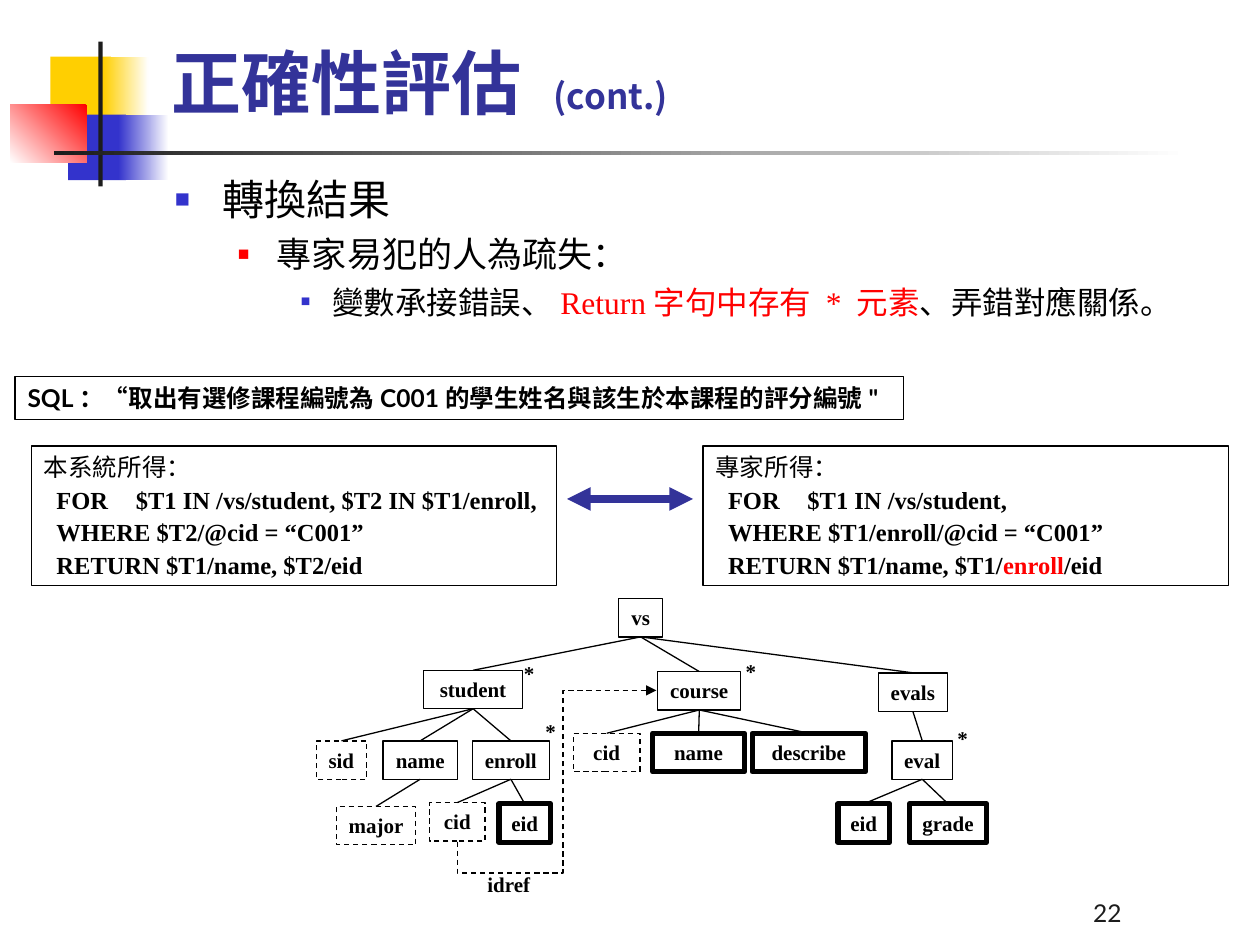
from dataclasses import dataclass
from typing import NamedTuple, Optional

import lxml.etree
import pptx
import pptx.dml.color
import pptx.enum.dml
import pptx.enum.shapes
import pptx.enum.text
import pptx.util
from pptx.oxml.ns import qn

# Grid: 100 columns by 75 rows on a 10 x 7.5 inch slide
CELL = pptx.util.Inches(0.1)
COLORS = {"ink": "000000", "dark": "1C1C1C", "title": "333399", "blue": "3333CC",
          "red": "FF0000", "yellow": "FFCF01", "white": "FFFFFF"}
SERIF, HAN, LATO = "Times New Roman", "Noto Sans CJK SC", "Lato"
DASH = pptx.enum.dml.MSO_LINE.DASH
ALIGN = pptx.enum.text.PP_ALIGN
ANCHOR = pptx.enum.text.MSO_ANCHOR
RECT = pptx.enum.shapes.MSO_SHAPE.RECTANGLE
CONNECTOR = pptx.enum.shapes.MSO_CONNECTOR


class Run(NamedTuple):
    text: str
    size: float
    bold: bool = False
    color: str = "ink"
    face: str = SERIF


@dataclass
class Para:
    runs: list
    before: float = 0
    align: ALIGN = ALIGN.LEFT
    tabs: tuple = ()
    bullet: Optional[tuple] = None  # level, margin, hanging, color, percent


class Block(NamedTuple):
    col: float
    row: float
    cols: float
    rows: float
    color: str
    fade: Optional[str] = None
    angle: float = 0


class Node(NamedTuple):
    text: str
    col: float
    row: float
    cols: float
    parent: Optional[str] = None
    border: str = "plain"


def rgb(name: str) -> pptx.dml.color.RGBColor:
    return pptx.dml.color.RGBColor.from_string(COLORS[name])


def grid(*cells: float) -> list:
    return [round(cell * CELL) for cell in cells]


def add_xml(parent, tag: str, **attributes):
    return lxml.etree.SubElement(parent, qn(tag), attributes)


def write(frame, paras: list, anchor=ANCHOR.TOP, wrap: bool = True) -> None:
    layout = {"word_wrap": wrap, "vertical_anchor": anchor,
              "auto_size": pptx.enum.text.MSO_AUTO_SIZE.NONE}
    for name, value in layout.items():
        setattr(frame, name, value)
    for index, para in enumerate(paras):
        paragraph = frame.add_paragraph() if index else frame.paragraphs[0]
        properties = paragraph._p.get_or_add_pPr()
        if para.bullet:
            level, margin, hanging, color, percent = para.bullet
            paragraph.level = level
            properties.set("marL", str(round(margin * CELL)))
            properties.set("indent", str(round(-hanging * CELL)))
            add_xml(add_xml(properties, "a:buClr"), "a:srgbClr", val=COLORS[color])
            add_xml(properties, "a:buSzPct", val=str(percent * 1000))
            add_xml(properties, "a:buFont", typeface=SERIF)
            add_xml(properties, "a:buChar", char="■")
        if para.tabs:
            stops = add_xml(properties, "a:tabLst")
            for stop in para.tabs:
                add_xml(stops, "a:tab", pos=str(round(stop * CELL)), algn="l")
        paragraph.alignment = para.align
        paragraph.space_before = pptx.util.Pt(para.before if index else 0)
        for piece in para.runs:
            run = paragraph.add_run()
            run.text = piece.text
            look = {"size": pptx.util.Pt(piece.size), "bold": piece.bold, "name": piece.face}
            for name, value in look.items():
                setattr(run.font, name, value)
            run.font.color.rgb = rgb(piece.color)
            add_xml(run.font._element, "a:ea", typeface=HAN)


def add_label(slide, place: tuple, paras: list, **layout) -> None:
    write(slide.shapes.add_textbox(*grid(*place)).text_frame, paras, **layout)


def style_line(line, color: str = "ink", width: float = 0.75, dash=None) -> None:
    line.color.rgb = rgb(color)
    for name, value in {"width": pptx.util.Pt(width), "dash_style": dash}.items():
        setattr(line, name, value)


def add_box(slide, place: tuple, paras: list, wrap: bool = True, **border) -> None:
    box = slide.shapes.add_shape(RECT, *grid(*place))
    box.shadow.inherit = False
    box.fill.background()
    style_line(box.line, **border)
    write(box.text_frame, paras, wrap=wrap)


def add_block(slide, block: Block) -> None:
    shape = slide.shapes.add_shape(RECT, *grid(*block[:4]))
    shape.shadow.inherit = False
    shape.line.fill.background()
    if block.fade is None:
        shape.fill.solid()
        shape.fill.fore_color.rgb = rgb(block.color)
        return
    shape.fill.gradient()
    shape.fill.gradient_angle = block.angle
    for stop, color in zip(shape.fill.gradient_stops, (block.color, block.fade)):
        stop.color.rgb = rgb(color)


def add_link(slide, ends: tuple, kind=CONNECTOR.STRAIGHT, arrows: tuple = (), **stroke):
    link = slide.shapes.add_connector(kind, *grid(*ends))
    style_line(link.line, **stroke)
    for arrow in arrows:
        add_xml(link.line._get_or_add_ln(), arrow, type="triangle")
    add_xml(link._element.spPr, "a:effectLst")
    return link


DECORATION = [
    Block(4, 4.5, 4.8, 5.2, "yellow"),
    Block(8.2, 4.5, 3.6, 5.2, "yellow", "white"),
    Block(5.4, 9.1, 4.6, 5.2, "blue"),
    Block(9.4, 9.1, 4, 5.2, "blue", "white"),
    Block(0.8, 8.3, 6.1, 4.6, "red", "white", 225),
    Block(7.8, 3.3, 0.35, 11.5, "dark"),
    Block(4.3, 12, 90, 0.3, "dark", "white"),
]
BORDERS = {"plain": {}, "dashed": {"dash": DASH}, "thick": {"width": 3}}
NODE_ROWS = 3.05
TREE = {
    "vs": Node("vs", 49.1, 47.5, 3.5),
    "student": Node("student", 33.6, 53.2, 7.9, "vs"),
    "course": Node("course", 52.2, 53.3, 6.6, "vs"),
    "evals": Node("evals", 69.7, 53.4, 5.5, "vs"),
    "sid": Node("sid", 25.1, 58.8, 4, "student", "dashed"),
    "student name": Node("name", 30.4, 58.8, 5.9, "student"),
    "enroll": Node("enroll", 37.5, 58.8, 6.1, "student"),
    "course cid": Node("cid", 45.5, 58.2, 5.3, "course", "dashed"),
    "course name": Node("name", 51.8, 58.2, 7.3, "course", "thick"),
    "describe": Node("describe", 59.7, 58.2, 9, "course", "thick"),
    "eval": Node("eval", 70.8, 58.8, 4.8, "evals"),
    "major": Node("major", 26.7, 64, 6.3, "student name", "dashed"),
    "enroll cid": Node("cid", 34.1, 63.7, 4.4, "enroll", "dashed"),
    "enroll eid": Node("eid", 39.6, 63.8, 4.1, "enroll", "thick"),
    "eval eid": Node("eid", 66.5, 63.8, 4.1, "eval", "thick"),
    "grade": Node("grade", 72.2, 63.8, 6.1, "eval", "thick"),
}
REPEAT_MARKS = [(40.6, 51.9), (42.3, 56.5), (58.2, 51.8), (75, 57.1)]
QUERIES = {
    2.5: ("本系統所得：", ["\tFOR \t$T1 IN /vs/student, $T2 IN $T1/enroll,"],
          ["\tWHERE $T2/@cid = “C001”"], ["\tRETURN $T1/name, $T2/eid"]),
    55.8: ("專家所得：", ["\tFOR \t$T1 IN /vs/student,"],
           ["\tWHERE $T1/enroll/@cid = “C001”"],
           ["\tRETURN $T1/name, $T1/", "enroll", "/eid"]),
}


def add_tree(slide) -> None:
    for node in TREE.values():
        add_box(slide, (node.col, node.row, node.cols, NODE_ROWS),
                [Para([Run(node.text, 12, True)], align=ALIGN.CENTER)],
                wrap=False, **BORDERS[node.border])
        if node.parent:
            parent = TREE[node.parent]
            add_link(slide, (parent.col + parent.cols / 2, parent.row + NODE_ROWS,
                             node.col + node.cols / 2, node.row))
    for col, row in REPEAT_MARKS:
        add_label(slide, (col, row, 4, 3), [Para([Run("*", 12, True)])])
    # Reference from the enrolled cid, down and around to the course
    reference = add_link(slide, (50.2, 68.7, 38.2, 52.9), CONNECTOR.ELBOW,
                         ("a:tailEnd",), dash=DASH)
    reference.rotation = 90
    geometry = reference._element.spPr.find(qn("a:prstGeom"))
    geometry.set("prst", "bentConnector4")
    adjustments = geometry.find(qn("a:avLst"))
    for name, share in {"adj1": -20800, "adj2": 53100}.items():
        add_xml(adjustments, "a:gd", name=name, fmla=f"val {share}")
    add_label(slide, (37.7, 68.7, 5.4, 3), [Para([Run("idref", 12, True)])], wrap=False)


def main() -> None:
    deck = pptx.Presentation()
    deck.slide_width, deck.slide_height = grid(100, 75)
    slide = deck.slides.add_slide(deck.slide_layouts[5])
    for block in DECORATION:
        add_block(slide, block)
    # Title
    title = slide.shapes.title
    for name, value in zip(("left", "top", "width", "height"), grid(12.6, 1.7, 85.2, 8.6)):
        setattr(title, name, value)
    write(title.text_frame, [Para([Run("正確性評估 ", 40, True, "title"),
                                   Run("(cont.)", 20, True, "title", HAN)])], ANCHOR.BOTTOM)
    # Outline
    add_label(slide, (12.9, 13.3, 85.4, 13), [
        Para([Run("轉換結果", 24)], bullet=(0, 3.8, 3.8, "blue", 60)),
        Para([Run("專家易犯的人為疏失：", 20)], 5, bullet=(1, 8.1, 3.1, "red", 55)),
        Para([Run("變數承接錯誤、", 18), Run("Return字句中存有 * 元素", 18, color="red"),
              Run("、弄錯對應關係。", 18)], 4.5, bullet=(2, 12.5, 2.5, "blue", 50))])
    # Question and the two queries compared
    question = [("SQL：“", LATO), ("取出有選修課程編號為", HAN), ("C001", LATO),
                ("的學生姓名與該生於本課程的評分編號", HAN), ('"', LATO)]
    add_box(slide, (1.2, 29.9, 70.5, 3.4),
            [Para([Run(text, 14, True, face=face) for text, face in question])], wrap=False)
    for col, (heading, *clauses) in QUERIES.items():
        lines = [Para([Run(heading, 14, face=HAN)])]
        lines += [Para([Run(text, 14, True, "red" if text == "enroll" else "ink")
                        for text in clause], 1.8, tabs=(1, 7.3)) for clause in clauses]
        add_box(slide, (col, 35.4, 41.7, 11.1), lines)
    add_link(slide, (45, 39.6, 55, 39.6), arrows=("a:headEnd", "a:tailEnd"),
             color="title", width=4.5)
    add_tree(slide)
    # Page number
    add_label(slide, (69.2, 69.1, 20.8, 5),
              [Para([Run("22", 14, color="dark", face=LATO)], align=ALIGN.RIGHT)],
              anchor=ANCHOR.BOTTOM)
    deck.save("out.pptx")


if __name__ == "__main__":
    main()
